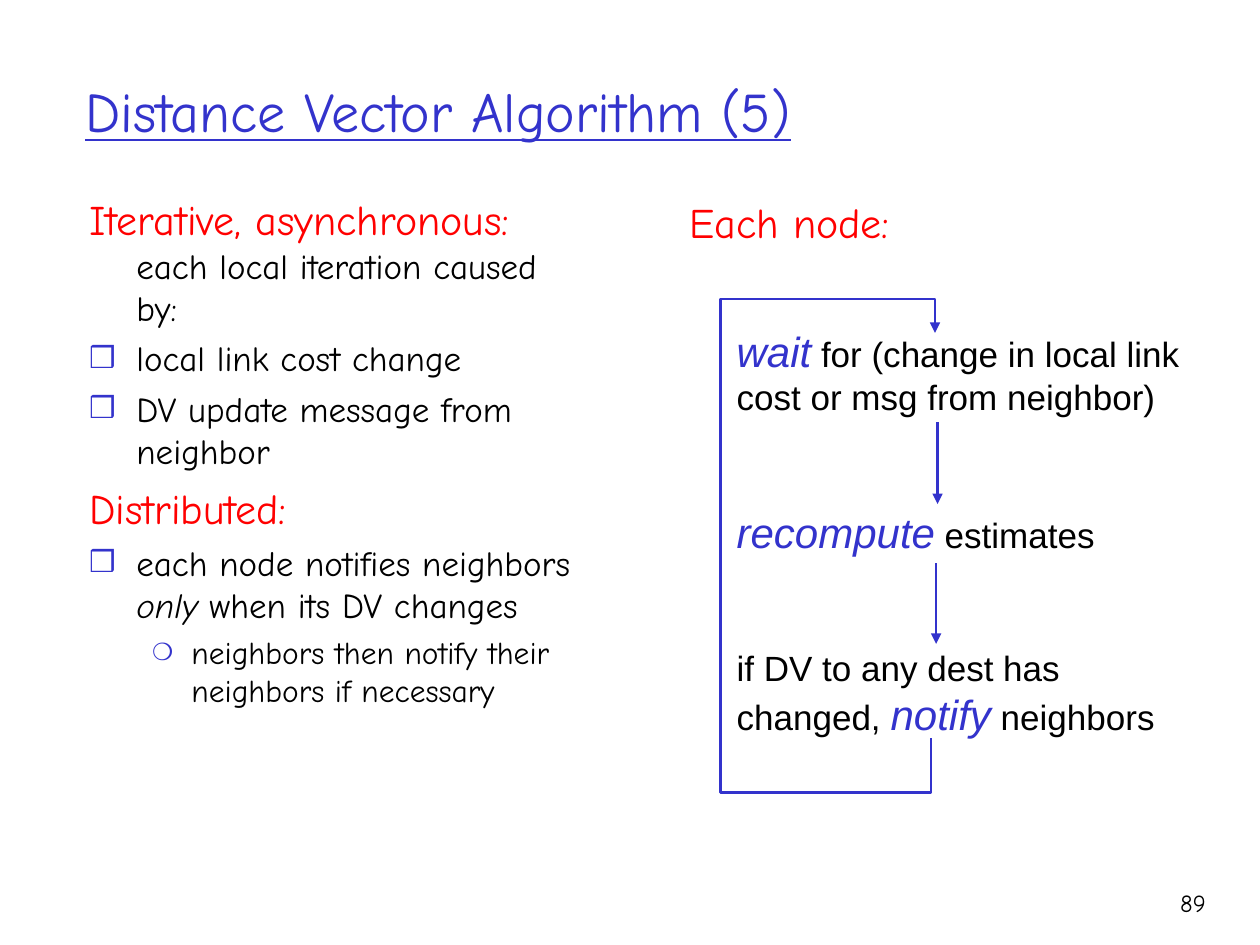
from lxml.etree import SubElement
from pptx import Presentation
from pptx.dml.color import RGBColor
from pptx.enum.shapes import MSO_CONNECTOR
from pptx.enum.text import MSO_ANCHOR, PP_ALIGN
from pptx.oxml.ns import qn
from pptx.util import Cm, Pt

BLUE, RED, BLACK = "3333CC", "FF0000", "000000"
HAND, SANS = "Comic Neue", "Arial"


def add_text(left, top, width, height, font, paragraphs, align=PP_ALIGN.LEFT):
    """Add a text box; a paragraph is (space before, runs), a run (text, size, colour[, italic])."""
    tf = s.shapes.add_textbox(Cm(left), Cm(top), Cm(width), Cm(height)).text_frame
    tf.word_wrap = True
    for i, (space, runs) in enumerate(paragraphs):
        p = tf.add_paragraph() if i else tf.paragraphs[0]
        p.alignment = align
        p.space_before = Pt(space)
        for text, size, color, *italic in runs:
            r = p.add_run()
            r.text = text
            r.font.name = font
            r.font.size = Pt(size)
            r.font.color.rgb = RGBColor.from_string(color)
            r.font.italic = bool(italic)
    return tf


def set_indent(p, left, hanging, bullet=None, percent=100):
    pPr = p._p.get_or_add_pPr()
    pPr.set("marL", str(Cm(left)))
    pPr.set("indent", str(-Cm(hanging)))
    if bullet:
        SubElement(SubElement(pPr, qn("a:buClr")), qn("a:srgbClr"), val=BLUE)
        SubElement(pPr, qn("a:buSzPct"), val=str(percent * 1000))
        SubElement(pPr, qn("a:buFont"), typeface=SANS)
        SubElement(pPr, qn("a:buChar"), char=bullet)


prs = Presentation()
prs.slide_width, prs.slide_height = Cm(25.4), Cm(19.05)
s = prs.slides.add_slide(prs.slide_layouts[6])

# Title
tf = add_text(1.47, 0.64, 21.6, 3.18, HAND, [(0, [("Distance Vector Algorithm (5)", 32, BLUE)])])
tf.vertical_anchor = MSO_ANCHOR.MIDDLE
tf.paragraphs[0].runs[0].font.underline = True

# Properties of the algorithm
tf = add_text(1.55, 3.78, 10.52, 12.9, HAND, [
    (0, [("Iterative, asynchronous: ", 24, RED), ("each local iteration caused by:", 20, BLACK)]),
    (5, [("local link cost change", 20, BLACK)]),
    (5, [("DV update message from neighbor", 20, BLACK)]),
    (6, [("Distributed:", 24, RED)]),
    (5, [("each node notifies neighbors ", 20, BLACK), ("only", 20, BLACK, True),
         (" when its DV changes", 20, BLACK)]),
    (4.5, [("neighbors then notify their neighbors if necessary", 18, BLACK)]),
])
heading, item, subitem = (0.95, 0.95), (0.95, 0.95, "❒", 85), (2.06, 0.79, "❍", 75)
for p, indent in zip(tf.paragraphs, [heading, item, item, heading, item, subitem]):
    set_indent(p, *indent)

# Loop run by each node
tf = add_text(13.64, 3.84, 4.55, 1.27, HAND, [(0, [("Each node:", 24, RED)])], PP_ALIGN.CENTER)
tf.word_wrap = False
add_text(14.6, 6.43, 9.78, 9.6, SANS, [
    (0, [("wait", 24, BLUE, True),
         (" for (change in local link cost or msg from neighbor)", 20, BLACK)]),
    (51, [("recompute", 24, BLUE, True), (" estimates", 20, BLACK)]),
    (51, [("if DV to any dest has changed, ", 20, BLACK), ("notify", 24, BLUE, True),
          (" neighbors", 20, BLACK)]),
])

arrows = []
for x, top, bottom in [(18.9, 8.51, 10.16), (18.87, 11.35, 12.98)]:
    arrows.append(s.shapes.add_connector(
        MSO_CONNECTOR.STRAIGHT, Cm(x), Cm(top), Cm(x), Cm(bottom)))

builder = s.shapes.build_freeform(Cm(18.77), Cm(14.88))
corners = [(18.77, 15.98), (14.53, 15.98), (14.53, 6.03), (18.85, 6.03), (18.85, 6.71)]
builder.add_line_segments([(Cm(x), Cm(y)) for x, y in corners], close=False)
loop = builder.convert_to_shape()
loop.fill.background()
arrows.append(loop)

for arrow in arrows:
    arrow.line.color.rgb = RGBColor.from_string(BLUE)
    arrow.line.width = Pt(1.5)
    SubElement(arrow.line._get_or_add_ln(), qn("a:tailEnd"), type="triangle")
    SubElement(arrow._element.spPr, qn("a:effectLst"))

# Page number
add_text(22.68, 17.78, 1.88, 1.27, HAND, [(0, [("89", 14, BLACK)])], PP_ALIGN.RIGHT)

prs.save("out.pptx")
